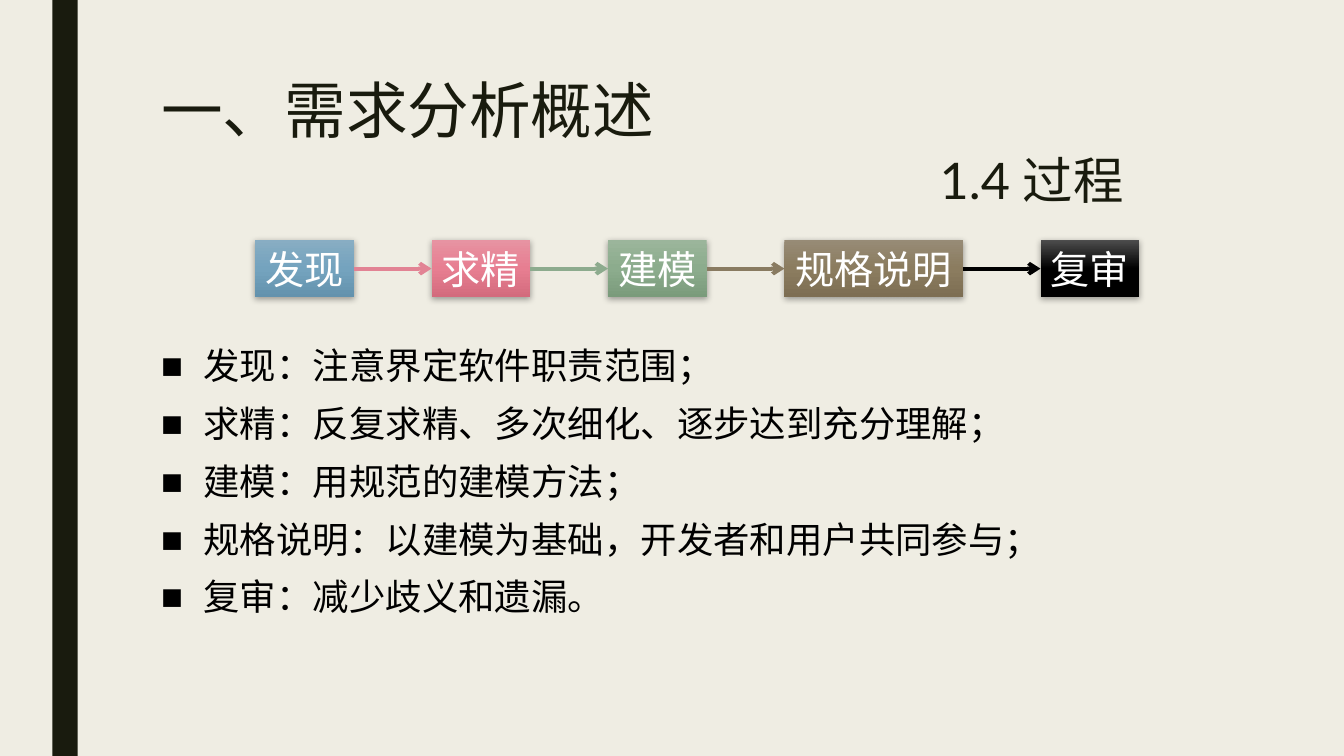
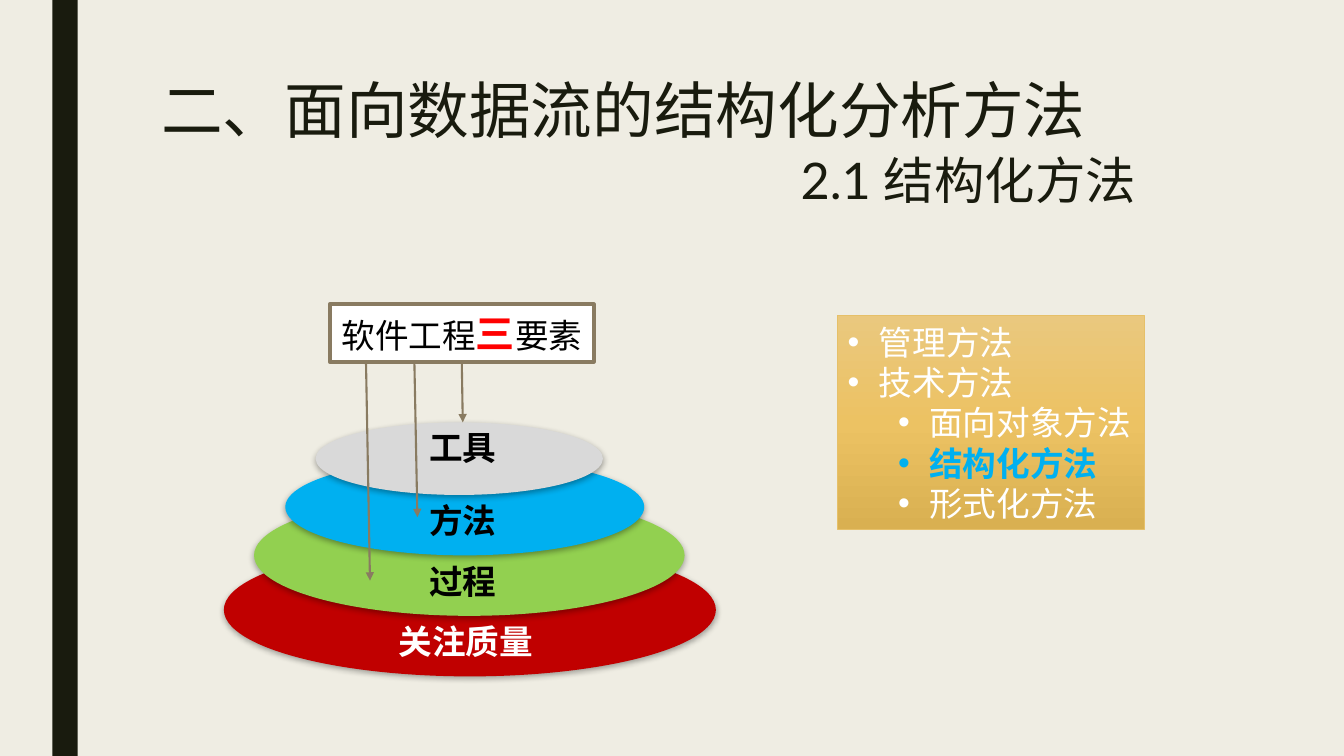
from copy import deepcopy
from pptx import Presentation
from pptx.dml.color import RGBColor
from pptx.enum.shapes import MSO_CONNECTOR as Conn, MSO_SHAPE as Geo
from pptx.enum.text import MSO_ANCHOR as Anchor, MSO_AUTO_SIZE as Auto, PP_ALIGN as Align
from pptx.oxml import parse_xml
from pptx.oxml.ns import qn
from pptx.util import Inches, Pt

NS = 'xmlns:a="http://schemas.openxmlformats.org/drawingml/2006/main"'
INK, PAPER, WHITE, BLACK = "191B0E", "EFEDE3", "FFFFFF", "000000"
BROWN, SKY, RED = "897B61", "00B0F0", "FF0000"
LATO, ARIAL, NOTO = "Lato", "Arial", "Noto Sans CJK SC"


def rgb(code):
    return RGBColor.from_string(code)


def box(*sides):
    return [Inches(side) for side in sides]


# Text
def write(para, text, color=BLACK, face=LATO, **form):
    run = para.add_run()
    run.text = text
    for key, value in {"name": face, **form}.items():
        setattr(run.font, key, value)
    run.font.color.rgb = rgb(color)
    # Chinese text takes its face from the East Asian slot
    latin = run.font._element.find(qn("a:latin"))
    latin.addnext(parse_xml(f'<a:ea {NS} typeface="{face}"/>'))


def frame(shape, wrap=False, anchor=Anchor.MIDDLE):
    text = shape.text_frame
    form = {"word_wrap": wrap, "auto_size": Auto.NONE, "vertical_anchor": anchor,
            "margin_left": Inches(0.1), "margin_right": Inches(0.1),
            "margin_top": Inches(0.05), "margin_bottom": Inches(0.05)}
    for key, value in form.items():
        setattr(text, key, value)
    return text


def lines(text, count):
    return [text.paragraphs[0]] + [text.add_paragraph() for _ in range(count - 1)]


def indent(para, left, hang=0.0, mark=None):
    props = para._p.get_or_add_pPr()
    props.set("marL", str(Inches(left)))
    props.set("indent", str(Inches(-hang)))
    if mark:
        props.append(parse_xml(f'<a:buFont {NS} typeface="{ARIAL}"/>'))
        props.append(parse_xml(f'<a:buChar {NS} char="{mark}"/>'))


# Shapes
def blend(shape, colors):
    fill = shape.fill
    fill.gradient()
    fill.gradient_angle = 270
    stops = shape._element.spPr.find(f".//{qn('a:gsLst')}")
    stops.append(deepcopy(stops[-1]))
    for stop, place, code in zip(fill.gradient_stops, (0, 0.5, 1), colors):
        stop.position = place
        stop.color.rgb = rgb(code)


def shade(shape):
    shape._element.spPr.find(qn("a:effectLst")).append(parse_xml(
        f'<a:outerShdw {NS} blurRad="{Pt(4.5)}" dist="{Pt(1.5)}" dir="5400000" '
        'algn="ctr" rotWithShape="0"><a:srgbClr val="000000">'
        '<a:alpha val="35000"/></a:srgbClr></a:outerShdw>'))


def draw(shapes, geo, place, fill, line=None, width=1.0, shadow=False):
    shape = shapes.add_shape(geo, *box(*place))
    shape.shadow.inherit = False
    if line:
        shape.line.color.rgb = rgb(line)
        shape.line.width = Pt(width)
    else:
        shape.line.fill.background()
    if isinstance(fill, str):
        shape.fill.solid()
        shape.fill.fore_color.rgb = rgb(fill)
    else:
        blend(shape, fill)
    if shadow:
        shade(shape)
    return shape


def arrow(shapes, ends, color, width, head):
    link = shapes.add_connector(Conn.STRAIGHT, *box(*ends))
    link.line.color.rgb = rgb(color)
    link.line.width = Pt(width)
    link.line._get_or_add_ln().append(parse_xml(f'<a:tailEnd {NS} type="{head}"/>'))
    link._element.spPr.append(parse_xml(f"<a:effectLst {NS}/>"))
    return link


# Shared look
def theme(deck, slide):
    master = deck.slide_master
    master.background.fill.solid()
    master.background.fill.fore_color.rgb = rgb(PAPER)
    band = draw(slide.shapes, Geo.RECTANGLE, (0.52, 0, 0.25, 7.5), INK)
    master.shapes.element.insert(2, band._element)


def start(deck, head, sub, left):
    slide = deck.slides.add_slide(deck.slide_layouts[5])
    title = slide.shapes.title
    title.left, title.top, title.width, title.height = box(1.5, 0.75, 10.5, 1.62)
    text = frame(title, wrap=True, anchor=Anchor.TOP)
    for para, words, size, inset in zip(lines(text, 2), (head, sub), (44, 36), (0, left)):
        indent(para, inset)
        para.alignment = Align.LEFT
        para.line_spacing = 0.89
        write(para, words, INK, size=Pt(size))
    text.paragraphs[1].space_before = Pt(7)
    return slide


# Row of steps joined by arrows
def flow(shapes, left, top, steps):
    gap, high, last = 0.77, 0.57, None
    for word, wide, colors, tint in steps:
        chip = draw(shapes, Geo.RECTANGLE, (left, top, wide, high), colors, shadow=True)
        para = frame(chip).paragraphs[0]
        para.alignment = Align.CENTER
        write(para, word, WHITE, size=Pt(28))
        if last:
            mid = top + high / 2
            link = arrow(shapes, (left - gap, mid, left, mid), tint, 2.75, "arrow")
            link.begin_connect(last, 3)
            link.end_connect(chip, 1)
        left += wide + gap
        last = chip


def notes(shapes, place, items):
    text = frame(shapes.add_textbox(*box(*place)), wrap=True, anchor=Anchor.TOP)
    for i, (para, item) in enumerate(zip(lines(text, len(items)), items)):
        indent(para, 0.42, 0.42, "■")
        para.line_spacing = 0.94
        para.space_before = Pt(10 if i else 0)
        para.space_after = Pt(2)
        write(para, item, size=Pt(26))


# Stack of discs, widest first, with labels on top
def stack(shapes, left, top, discs):
    group = shapes.add_group_shape().shapes
    for x, y, wide, high, fill, *_ in discs:
        draw(group, Geo.OVAL, (left + x, top + y, wide, high), fill, shadow=True)
    for *_, word, color, x, y, wide in discs:
        label = group.add_textbox(*box(left + x, top + y, wide, 0.5))
        para = frame(label).paragraphs[0]
        para.alignment = Align.CENTER
        write(para, word, color, ARIAL, size=Pt(24), bold=True)


def caption(shapes, place, runs, ends):
    card = draw(shapes, Geo.RECTANGLE, place, WHITE, BROWN, 2.75)
    para = frame(card).paragraphs[0]
    para.alignment = Align.CENTER
    for word, size, color, bold in runs:
        write(para, word, color, NOTO, size=Pt(size), bold=bold)
    left, top, _, high = place
    for x, end, y in ends:
        arrow(shapes, (left + x, top + high, left + end, top + y), BROWN, 1.5, "triangle")


def panel(shapes, place, items):
    card = draw(shapes, Geo.RECTANGLE, place, ("EAC87E", "ECC263", "D9B051"), "E6C069", 0.5)
    text = frame(card, wrap=True)
    for para, (word, level, color) in zip(lines(text, len(items)), items):
        para.level = level
        para.alignment = Align.LEFT
        indent(para, 0.31 + level / 2, 0.31, "•")
        write(para, word, color, size=Pt(24), bold=color != WHITE)


def process(deck):
    slide = start(deck, "一、需求分析概述", "1.4 过程", 7.72)
    flow(slide.shapes, 2.53, 2.38, [
        ("发现", 0.98, ("88ADC3", "74A3BE", "6392AD"), None),
        ("求精", 0.98, ("E793A2", "E77E91", "D36B7D"), "E28394"),
        ("建模", 0.98, ("9BB59B", "8CAC8D", "7A9B7B"), "8DAB8E"),
        ("规格说明", 1.77, ("978B76", "8B7C5F", "7D6E53"), BROWN),
        ("复审", 0.98, ("4D4D4D", BLACK, BLACK), BLACK)])
    notes(slide.shapes, (1.5, 3.39, 10.85, 3.41), [
        "发现：注意界定软件职责范围；",
        "求精：反复求精、多次细化、逐步达到充分理解；",
        "建模：用规范的建模方法；",
        "规格说明：以建模为基础，开发者和用户共同参与；",
        "复审：减少歧义和遗漏。"])
    return slide


def method(deck):
    slide = start(deck, "二、面向数据流的结构化分析方法", "2.1 结构化方法", 6.34)
    stack(slide.shapes, 2.22, 4.19, [
        (0, 1.2, 4.88, 1.32, "C00000", "关注质量", WHITE, 1.62, 1.92, 1.56),
        (0.3, 0.72, 4.27, 1.2, "92D050", "过程", BLACK, 1.93, 1.32, 0.88),
        (0.61, 0.36, 3.56, 0.96, SKY, "方法", BLACK, 1.93, 0.72, 0.88),
        (0.91, 0, 2.85, 0.72, "D9D9D9", "工具", BLACK, 1.93, 0, 0.88)])
    caption(slide.shapes, (3.27, 3.02, 2.62, 0.57),
            [("软件工程", 24, BLACK, False), ("三", 28, RED, True), ("要素", 24, BLACK, False)],
            [(1.31, 1.32, 1.17), (0.84, 0.87, 2.11), (0.36, 0.4, 2.74)])
    panel(slide.shapes, (8.31, 3.13, 3.04, 2.12), [
        ("管理方法", 0, WHITE), ("技术方法", 0, WHITE), ("面向对象方法", 1, WHITE),
        ("结构化方法", 1, SKY), ("形式化方法", 1, WHITE)])


def main():
    deck = Presentation()
    deck.slide_width, deck.slide_height = box(13.33, 7.5)
    theme(deck, process(deck))
    method(deck)
    deck.save("out.pptx")


if __name__ == "__main__":
    main()
